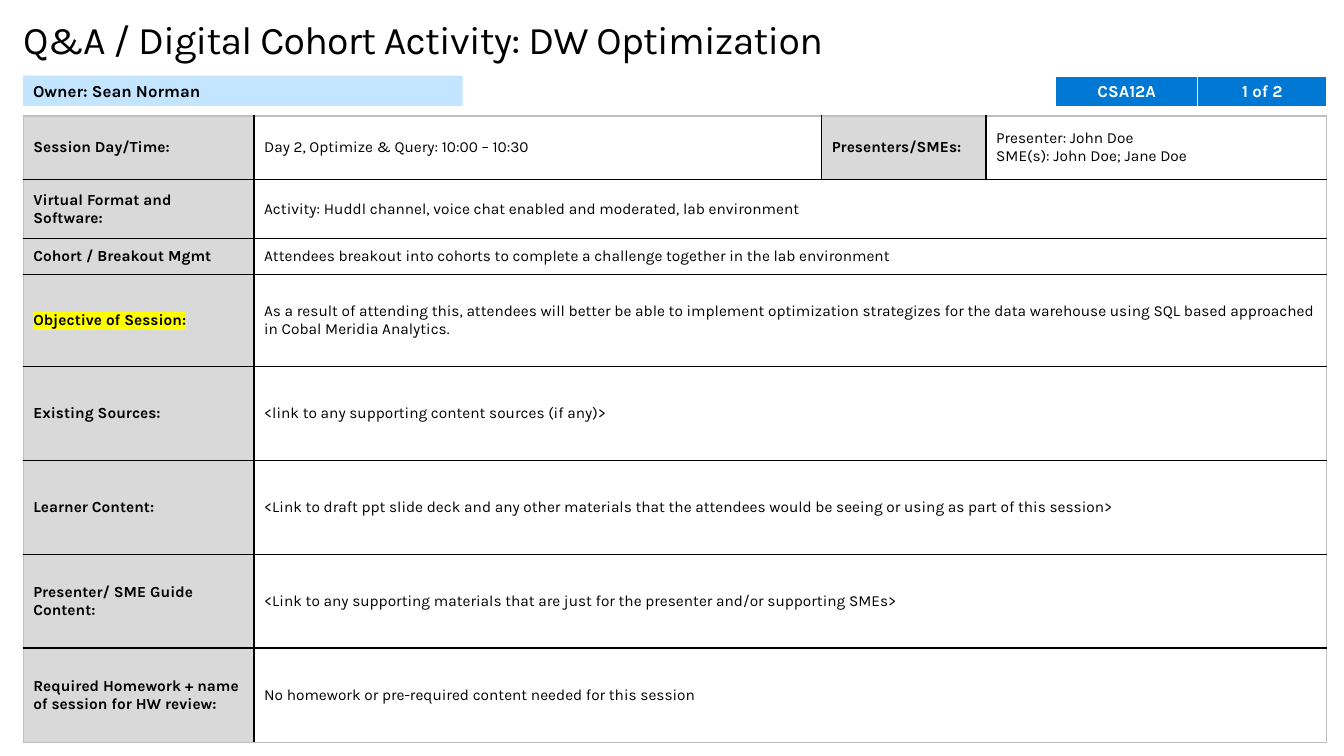
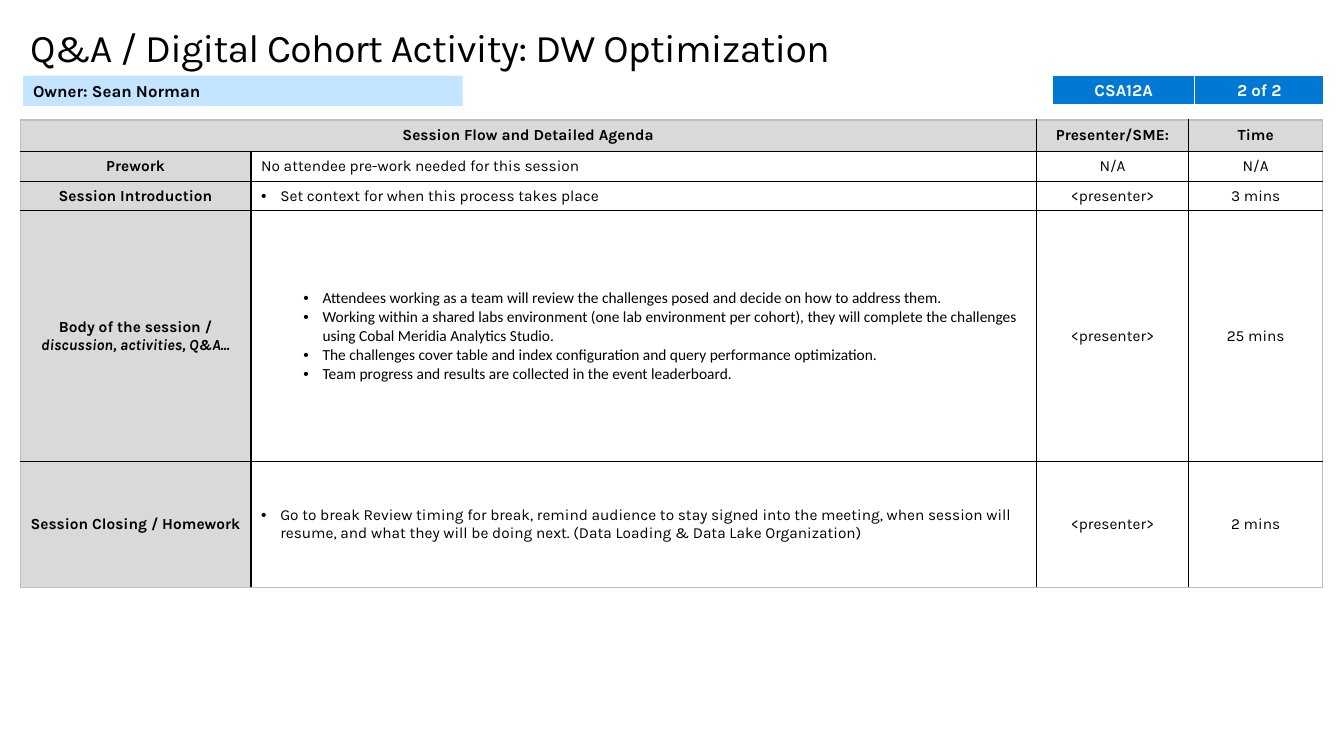
from copy import deepcopy

from lxml.etree import SubElement
from pptx import Presentation
from pptx.dml.color import RGBColor
from pptx.enum.shapes import MSO_SHAPE as Shape
from pptx.enum.text import MSO_ANCHOR as Anchor, PP_ALIGN as Align
from pptx.oxml.ns import qn
from pptx.util import Pt

EMU_PER_PX = 9144  # 100 px to the inch
COLORS = {
    "ink": "000000",
    "paper": "FFFFFF",
    "label": "D9D9D9",
    "frame": "BFBFBF",
    "owner": "C3E5FF",
    "badge": "0078D4",
    "mark": "FFFF00",
}
FONT = "Karla"
TITLE = "Q&A / Digital Cohort Activity: DW Optimization"
OWNER = "Owner: Sean Norman"
SESSION_CODE = "CSA12A"
BADGE_COLS = (141, 128)

OVERVIEW_COLS = (229, 563, 163, 338)
OVERVIEW_ROWS = (63, 59, 35, 92, 93, 93, 93, 94)
SCHEDULE = (
    "Session Day/Time:",
    "Day 2, Optimize & Query: 10:00 – 10:30",
    "Presenters/SMEs:",
    "Presenter: John Doe|SME(s): John Doe; Jane Doe",
)
MARKED_LABEL = "Objective of Session:"
DETAILS = (
    ("Virtual Format and Software:",
     "Activity: Huddl channel, voice chat enabled and moderated, lab environment"),
    ("Cohort / Breakout Mgmt",
     "Attendees breakout into cohorts to complete a challenge together in the "
     "lab environment"),
    (MARKED_LABEL,
     "As a result of attending this, attendees will better be able to implement "
     "optimization strategizes for the data warehouse using SQL based approached "
     "in Cobal Meridia Analytics."),
    ("Existing Sources:", "<link to any supporting content sources (if any)>"),
    ("Learner Content:",
     "<Link to draft ppt slide deck and any other materials that the attendees "
     "would be seeing or using as part of this session>"),
    ("Presenter/ SME Guide Content:",
     "<Link to any supporting materials that are just for the presenter and/or "
     "supporting SMEs>"),
    ("Required Homework + name of session for HW review:",
     "No homework or pre-required content needed for this session"),
)

AGENDA_COLS = (229, 779, 151, 133)
AGENDA_ROWS = (31, 30, 29, 249, 125)
AGENDA_HEAD = ("Session Flow and Detailed Agenda", None, "Presenter/SME:", "Time")
AGENDA = (
    ("Prework", "No attendee pre-work needed for this session", "N/A", "N/A"),
    ("Session Introduction", "Set context for when this process takes place",
     "<presenter>", "3 mins"),
    ("Body of the session /\ndiscussion, activities, Q&A...",
     "Attendees working as a team will review the challenges posed and decide on "
     "how to address them.|"
     "Working within a shared labs environment (one lab environment per cohort), "
     "they will complete the challenges using Cobal Meridia Analytics Studio.|"
     "The challenges cover table and index configuration and query performance "
     "optimization.|"
     "Team progress and results are collected in the event leaderboard.",
     "<presenter>", "25 mins"),
    ("Session Closing / Homework",
     "Go to break Review timing for break, remind audience to stay signed into "
     "the meeting, when session will resume, and what they will be doing next. "
     "(Data Loading & Data Lake Organization)",
     "<presenter>", "2 mins"),
)


def px(length):
    return length * EMU_PER_PX


def color(name):
    return RGBColor.from_string(COLORS[name])


def write(frame, text, size=11, bold=False, align=Align.LEFT, ink="ink", font=FONT):
    """Fill a text frame; | parts paragraphs and a newline breaks a line."""
    for index, line in enumerate(text.split("|")):
        paragraph = frame.add_paragraph() if index else frame.paragraphs[0]
        paragraph.text = line
        paragraph.alignment = align
        for run in paragraph.runs:
            run.font.size = Pt(size)
            run.font.bold = bold
            run.font.name = font
            run.font.color.rgb = color(ink)
        for line_break in paragraph._p.findall(qn("a:br")):
            line_break.insert(0, deepcopy(paragraph.runs[0]._r.rPr))


def add_bullets(frame, indent, hang=19):
    for paragraph in frame.paragraphs:
        props = paragraph._p.get_or_add_pPr()
        props.set("marL", str(px(indent)))
        props.set("indent", str(-px(hang)))
        SubElement(props, qn("a:buFont")).set("typeface", "Arial")
        SubElement(props, qn("a:buChar")).set("char", "•")


def highlight(run):
    props = run._r.get_or_add_rPr()
    mark = SubElement(props, qn("a:highlight"))
    SubElement(mark, qn("a:srgbClr")).set("val", COLORS["mark"])
    props.find(qn("a:latin")).addprevious(mark)


def set_borders(cell, edges):
    """Draw the edges, given as (colour, points) for left, right, top, bottom."""
    props = cell._tc.get_or_add_tcPr()
    for index, (side, (name, points)) in enumerate(zip("LRTB", edges)):
        line = SubElement(props, qn(f"a:ln{side}"), w=str(Pt(points)))
        solid = SubElement(line, qn("a:solidFill"))
        SubElement(solid, qn("a:srgbClr")).set("val", COLORS[name])
        props.insert(index, line)


def add_grid(slide, left, top, cols, rows):
    """Add a table without banding or header style."""
    table = slide.shapes.add_table(
        len(rows), len(cols), px(left), px(top), px(sum(cols)), px(sum(rows))).table
    table.first_row = table.horz_banding = False
    for column, width in zip(table.columns, cols):
        column.width = px(width)
    for row, height in zip(table.rows, rows):
        row.height = px(height)
    return table


def fill_cell(cell, text, fill=None, **style):
    if fill:
        cell.fill.solid()
        cell.fill.fore_color.rgb = color(fill)
    else:
        cell.fill.background()
    cell.vertical_anchor = Anchor.MIDDLE
    write(cell.text_frame, text, **style)


def rule_grid(table):
    """Black rules inside, a grey frame outside."""
    last_row, last_col = len(table.rows) - 1, len(table.columns) - 1
    for r in range(last_row + 1):
        for c in range(last_col + 1):
            cell = table.cell(r, c)
            right = c + cell.span_width - 1 if cell.is_merge_origin else c
            outside = (c == 0, right == last_col, r == 0, r == last_row)
            set_borders(cell, [("frame" if out else "ink", 1) for out in outside])


def add_title(slide, left, top, width, height, inset):
    frame = slide.shapes.add_textbox(
        px(left), px(top), px(width), px(height)).text_frame
    frame.word_wrap = True
    frame.margin_left = frame.margin_right = px(inset)
    frame.margin_top = frame.margin_bottom = px(inset // 2)
    write(frame, TITLE, size=28)
    frame.paragraphs[0].runs[0]._r.rPr.set("spc", "-50")


def add_owner_bar(slide, left=23, top=75, width=436, height=30):
    bar = slide.shapes.add_shape(
        Shape.RECTANGLE, px(left), px(top), px(width), px(height))
    bar.shadow.inherit = False
    bar.fill.solid()
    bar.fill.fore_color.rgb = color("owner")
    bar.line.fill.background()
    bar.text_frame.vertical_anchor = Anchor.MIDDLE
    write(bar.text_frame, OWNER, size=12, bold=True)


def add_badge(slide, left, top, height, page):
    """Session code and page count."""
    badge = add_grid(slide, left, top, BADGE_COLS, (height,))
    for index, text in enumerate((SESSION_CODE, page)):
        cell = badge.cell(0, index)
        fill_cell(cell, text, "badge", size=12, bold=True,
                  align=Align.CENTER, ink="paper")
        set_borders(cell, [("paper", points) for points in (1, 1, 1, 3)])


def add_overview(slide, left, top):
    table = add_grid(slide, left, top, OVERVIEW_COLS, OVERVIEW_ROWS)
    for c, text in enumerate(SCHEDULE):
        is_label = c % 2 == 0
        fill_cell(table.cell(0, c), text, "label" if is_label else None, bold=is_label)
    for r, (label, detail) in enumerate(DETAILS, start=1):
        label_cell, detail_cell = table.cell(r, 0), table.cell(r, 1)
        detail_cell.merge(table.cell(r, 3))
        fill_cell(label_cell, label, "label", bold=True)
        fill_cell(detail_cell, detail)
        if label == MARKED_LABEL:
            highlight(label_cell.text_frame.paragraphs[0].runs[0])
    rule_grid(table)


def add_agenda(slide, left, top):
    table = add_grid(slide, left, top, AGENDA_COLS, AGENDA_ROWS)
    table.cell(0, 0).merge(table.cell(0, 1))
    for c, heading in enumerate(AGENDA_HEAD):
        if heading:
            fill_cell(table.cell(0, c), heading, "label", bold=True, align=Align.CENTER)
    for r, (part, flow, presenter, time) in enumerate(AGENDA, start=1):
        part_cell, flow_cell = table.cell(r, 0), table.cell(r, 1)
        fill_cell(part_cell, part, "label", bold=True, align=Align.CENTER)
        for run in part_cell.text_frame.paragraphs[0].runs[1:]:
            run.font.italic = True
        is_body = "|" in flow
        fill_cell(flow_cell, flow, font="Calibri" if is_body else FONT)
        if is_body:
            flow_cell.margin_left = flow_cell.margin_right = px(1)
            flow_cell.margin_top, flow_cell.margin_bottom = px(1), 0
        if r > 1:
            add_bullets(flow_cell.text_frame, 70 if is_body else 19)
        for c, text in enumerate((presenter, time), start=2):
            fill_cell(table.cell(r, c), text, align=Align.CENTER)
    rule_grid(table)


def build_overview_slide(slide):
    add_title(slide, 23, 15, 1287, 47, inset=0)
    add_overview(slide, 23, 115)
    add_owner_bar(slide)
    add_badge(slide, 1047, 76, 31, "1 of 2")


def build_agenda_slide(slide):
    add_agenda(slide, 20, 119)
    add_owner_bar(slide)
    add_badge(slide, 1044, 75, 30, "2 of 2")
    add_title(slide, 20, 18, 1290, 57, inset=10)


def main():
    deck = Presentation()
    deck.slide_width, deck.slide_height = px(1333), px(750)
    for build in (build_overview_slide, build_agenda_slide):
        build(deck.slides.add_slide(deck.slide_layouts[6]))
    deck.save("out.pptx")


if __name__ == "__main__":
    main()
